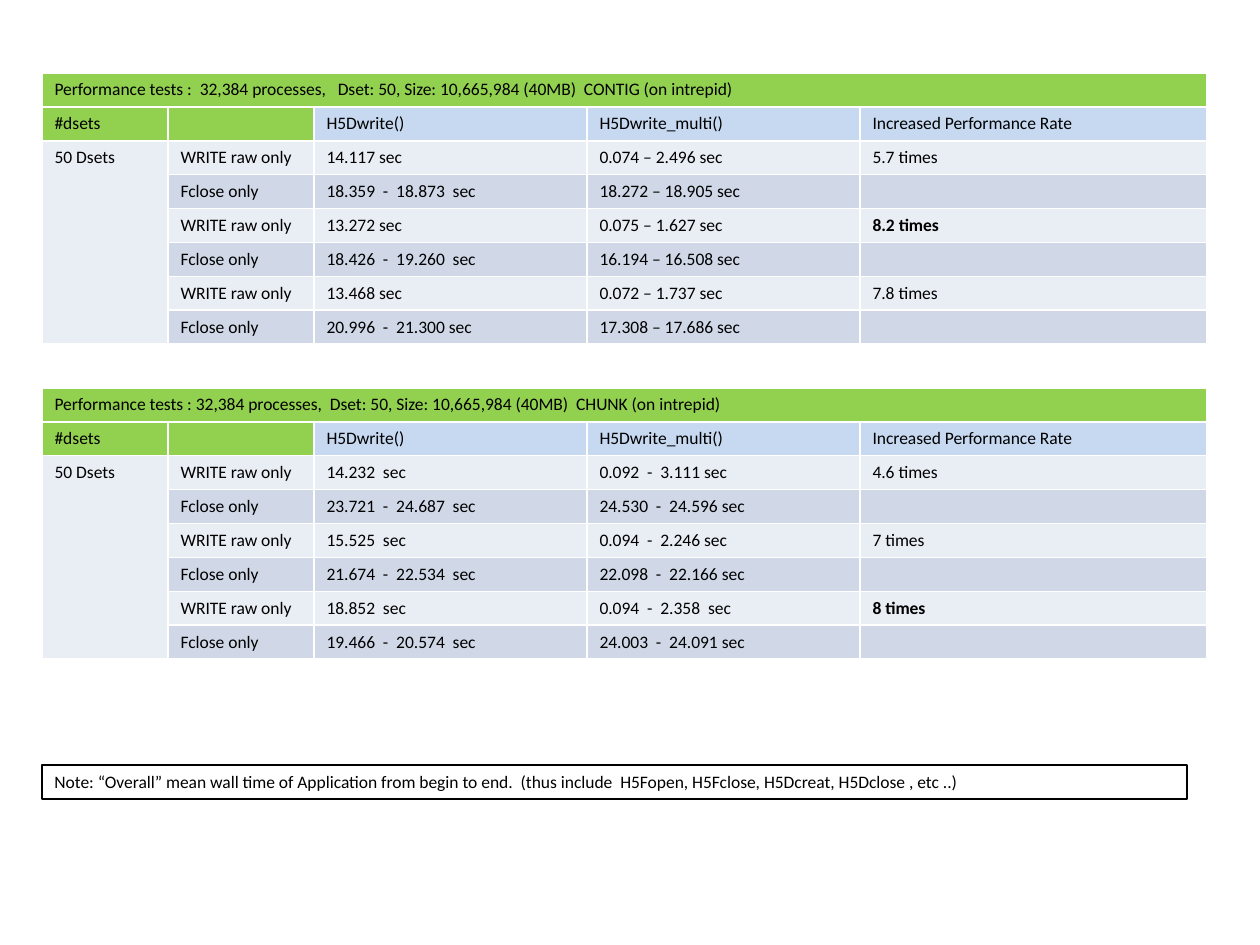
from lxml import etree
from pptx import Presentation
from pptx.dml.color import RGBColor
from pptx.enum.text import MSO_AUTO_SIZE
from pptx.oxml.ns import qn
from pptx.util import Emu, Pt

FIT_SHAPE = MSO_AUTO_SIZE.SHAPE_TO_FIT_TEXT
PX = 914400 // 126
FONT = "Calibri"
SIZE = 10
COLORS = {
    "text": "000000",
    "title": "92D050",
    "header": "C6D9F1",
    "light": "E9EDF4",
    "dark": "D0D8E8",
}
LEFT = 42
COLUMNS = [126, 146, 273, 273, 347]
TABLE_HEIGHT = 268
HEADERS = ["#dsets", "", "H5Dwrite()", "H5Dwrite_multi()", "Increased Performance Rate"]
STEPS = ["WRITE raw only", "Fclose only"]
NOTE = (
    "Note: “Overall” mean wall time of Application from begin to end.  "
    "(thus include  H5Fopen, H5Fclose, H5Dcreat, H5Dclose , etc ..)"
)
TABLES = [
    {
        "top": 73,
        "title": "Performance tests :  32,384 processes,   Dset: 50, "
                 "Size: 10,665,984 (40MB)  CONTIG (on intrepid)",
        "best": "8.2 times",
        "rows": [
            ("14.117 sec", "0.074 – 2.496 sec", "5.7 times"),
            ("18.359  -  18.873  sec", "18.272 – 18.905 sec", ""),
            ("13.272 sec", "0.075 – 1.627 sec", "8.2 times"),
            ("18.426  -  19.260  sec", "16.194 – 16.508 sec", ""),
            ("13.468 sec", "0.072 – 1.737 sec", "7.8 times"),
            ("20.996  -  21.300 sec", "17.308 – 17.686 sec", ""),
        ],
    },
    {
        "top": 388,
        "title": "Performance tests : 32,384 processes,  Dset: 50, "
                 "Size: 10,665,984 (40MB)  CHUNK (on intrepid)",
        "best": "8 times",
        "rows": [
            ("14.232  sec", "0.092  -  3.111 sec", "4.6 times"),
            ("23.721  -  24.687  sec", "24.530  -  24.596 sec", ""),
            ("15.525  sec", "0.094  -  2.246 sec", "7 times"),
            ("21.674  -  22.534  sec", "22.098  -  22.166 sec", ""),
            ("18.852  sec", "0.094  -  2.358  sec", "8 times"),
            ("19.466  -  20.574  sec", "24.003  -  24.091 sec", ""),
        ],
    },
]


def px(n):
    return Emu(n * PX)


def color(name):
    return RGBColor.from_string(COLORS[name])


def add_text(tf, text, bold=False):
    p = tf.paragraphs[0]
    if not text:
        etree.SubElement(p._p, qn("a:endParaRPr"), sz=str(SIZE * 100))
        return
    r = p.add_run()
    r.text = text
    r.font.name = FONT
    r.font.size = Pt(SIZE)
    r.font.bold = bold
    r.font.color.rgb = color("text")


def fill_color(row, col):
    if row == 0 or row == 1 and col < 2:
        return "title"
    if row == 1:
        return "header"
    return "light" if col == 0 or row % 2 == 0 else "dark"


def add_results_table(slide, top, title, best, rows):
    grid = [[title, "", "", "", ""], HEADERS]
    for i, values in enumerate(rows):
        grid.append(["50 Dsets" if i == 0 else "", STEPS[i % 2], *values])
    table = slide.shapes.add_table(
        len(grid), len(COLUMNS), px(LEFT), px(top), px(sum(COLUMNS)), px(TABLE_HEIGHT)
    ).table
    table.horz_banding = False
    for column, width in zip(table.columns, COLUMNS):
        column.width = px(width)
    for i, line in enumerate(grid):
        for j, text in enumerate(line):
            cell = table.cell(i, j)
            cell.fill.solid()
            cell.fill.fore_color.rgb = color(fill_color(i, j))
            add_text(cell.text_frame, text, text == best)
    table.cell(0, 0).merge(table.cell(0, len(COLUMNS) - 1))
    table.cell(2, 0).merge(table.cell(len(grid) - 1, 0))


def add_note(slide, text):
    s = slide.shapes.add_textbox(px(LEFT), px(765), px(1145), px(34))
    s.line.color.rgb = color("text")
    s.line.width = Pt(0.75)
    tf = s.text_frame
    tf.word_wrap = True
    tf.auto_size = FIT_SHAPE
    add_text(tf, text)


def main():
    prs = Presentation()
    prs.slide_width = px(1260)
    prs.slide_height = px(945)
    slide = prs.slides.add_slide(prs.slide_layouts[6])
    for data in TABLES:
        add_results_table(slide, **data)
    add_note(slide, NOTE)
    prs.save("out.pptx")


if __name__ == "__main__":
    main()
